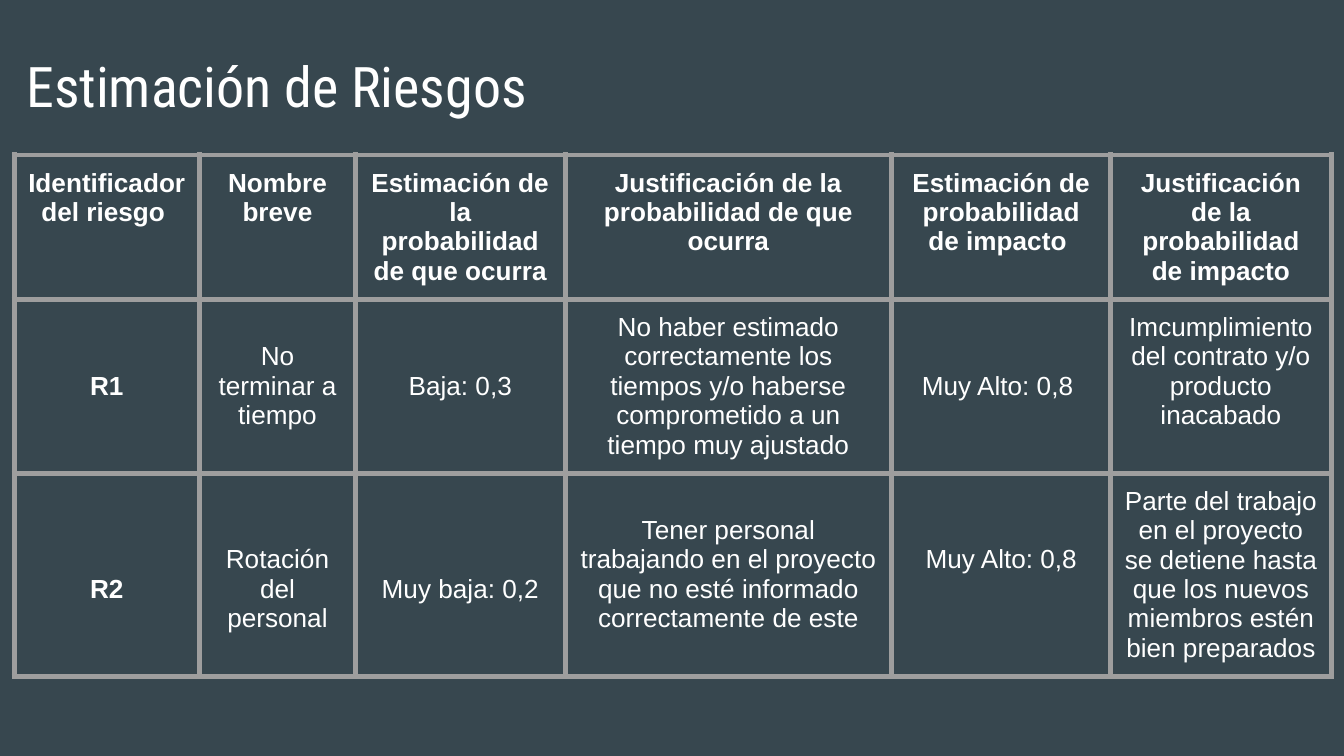
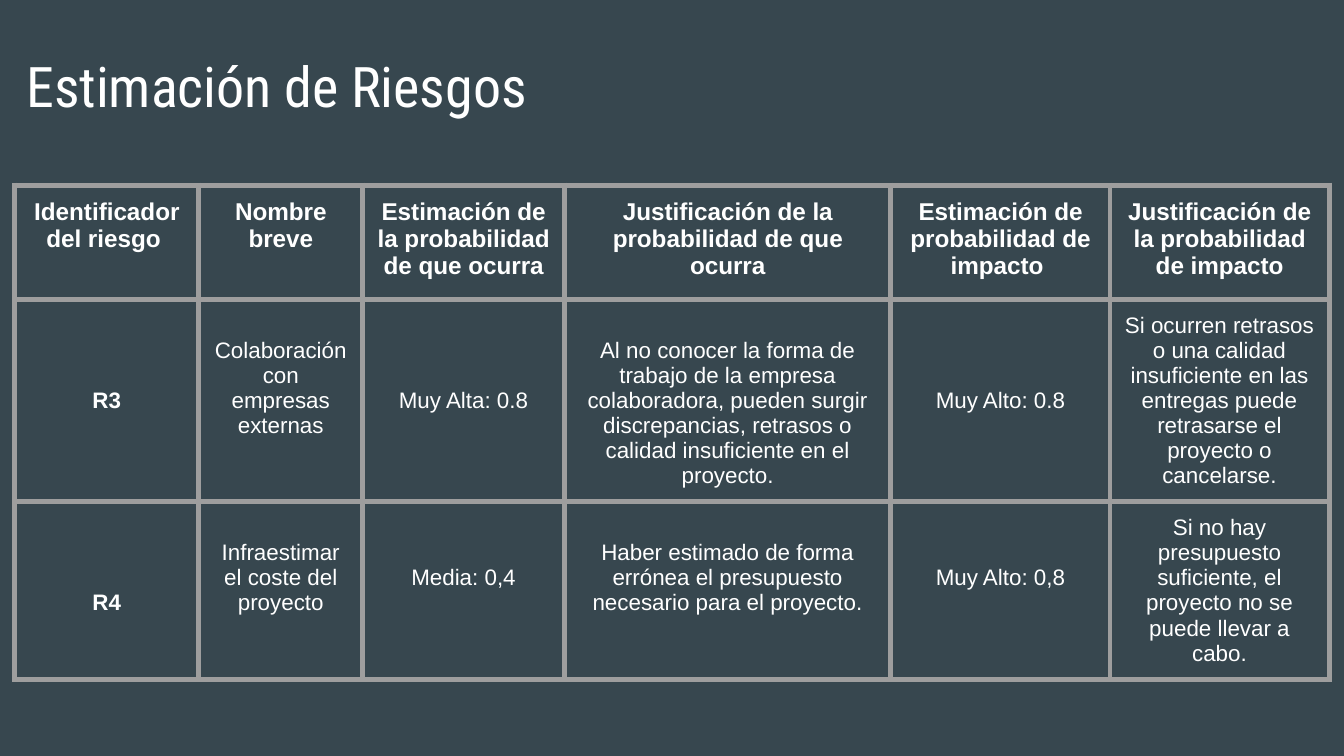
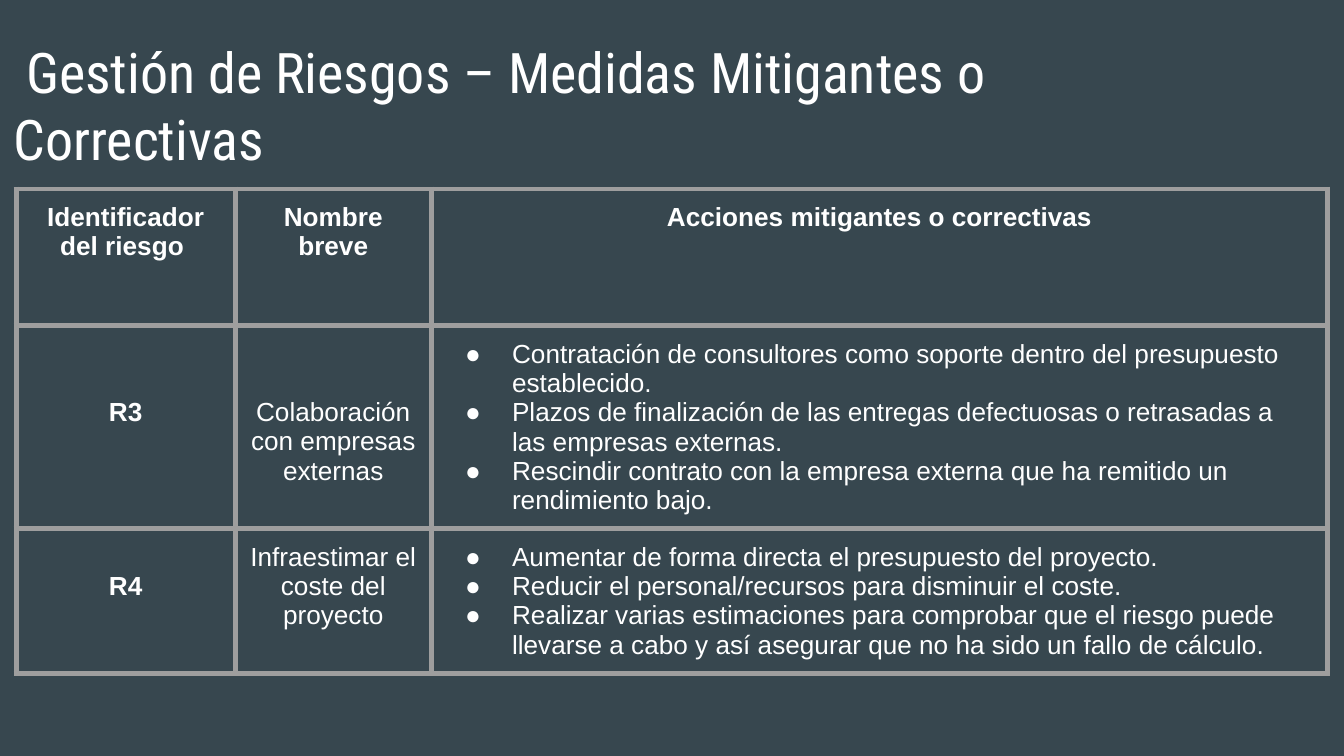
from dataclasses import dataclass

from lxml.etree import SubElement
from pptx import Presentation
from pptx.dml.color import RGBColor
from pptx.enum.text import MSO_ANCHOR, MSO_AUTO_SIZE, PP_ALIGN
from pptx.oxml import parse_xml
from pptx.oxml.ns import nsdecls, qn
from pptx.util import Inches, Pt

SLIDE_WIDTH = Inches(10)
SLIDE_HEIGHT = Inches(5.625)
BACKGROUND = "37474F"
BORDER = "9E9E9E"
TEXT = "FFFFFF"
TITLE_FONT = "Roboto Condensed"
BODY_FONT = "Arial"
TITLE_SIZE = 30
BORDER_POINTS = 3
INSET = Inches(0.1)
LINE_HEIGHT = 1.12
BULLET_MARGIN = Inches(0.5)
BULLET_HANG = Inches(0.35)


@dataclass(frozen=True)
class Entry:
    """Cell text lowered by a number of lines, as bullets if asked."""

    lines: tuple[str, ...]
    lowered: int = 0
    bulleted: bool = False


@dataclass(frozen=True)
class RiskSlide:
    """A titled risk table, with lengths in percent of the slide."""

    title: str
    title_top: float
    left: float
    top: float
    columns: tuple[float, ...]
    rows: tuple[float, ...]
    header: tuple[str, ...]
    header_size: int
    body_size: int
    body: tuple[tuple[Entry, ...], ...]


def entry(text: str, lowered: int = 0) -> Entry:
    """Describe a centred cell."""
    return Entry((text,), lowered)


def bullets(*lines: str) -> Entry:
    """Describe a bulleted cell."""
    return Entry(lines, bulleted=True)


ESTIMATE_TITLE = " Estimación de Riesgos"
IDENTITY_HEADER = ("Identificador del riesgo ", "Nombre breve")
ESTIMATE_HEADER = IDENTITY_HEADER + (
    "Estimación de la probabilidad de que ocurra",
    "Justificación de la probabilidad de que ocurra",
    "Estimación de probabilidad de impacto ",
    "Justificación de la probabilidad de impacto",
)
COLLABORATION = "Colaboración con empresas externas"
UNDERESTIMATE = "Infraestimar el coste del proyecto"

RISK_SLIDES = (
    RiskSlide(
        ESTIMATE_TITLE, 5.1, 1.05, 20.5,
        (13.8, 11.6, 15.6, 24.3, 16.3, 16.4), (19.1, 22.9, 26.8),
        ESTIMATE_HEADER, 14, 14,
        (
            (
                entry("R1", 2),
                entry("No terminar a tiempo", 1),
                entry("Baja: 0,3", 2),
                entry("No haber estimado correctamente los tiempos y/o haberse "
                      "comprometido a un tiempo muy ajustado"),
                entry("Muy Alto: 0,8 ", 2),
                entry("Imcumplimiento del contrato y/o producto inacabado"),
            ),
            (
                entry("R2", 3),
                entry("Rotación del personal", 2),
                entry("Muy baja: 0,2", 3),
                entry("Tener personal trabajando en el proyecto que no esté "
                      "informado correctamente de este", 1),
                entry("Muy Alto: 0,8", 2),
                entry("Parte del trabajo en el proyecto se detiene hasta que los "
                      "nuevos miembros estén bien preparados"),
            ),
        ),
    ),
    RiskSlide(
        ESTIMATE_TITLE, 5.1, 1.1, 24.5,
        (13.7, 12.2, 15, 24.3, 16.3, 16.3), (15.1, 26.8, 23.5),
        ESTIMATE_HEADER, 13, 12,
        (
            (
                entry("R3", 3),
                entry(COLLABORATION, 1),
                entry("Muy Alta: 0.8", 3),
                entry("Al no conocer la forma de trabajo de la empresa "
                      "colaboradora, pueden surgir discrepancias, retrasos o "
                      "calidad insuficiente en el proyecto.", 1),
                entry("Muy Alto: 0.8", 3),
                entry("Si ocurren retrasos o una calidad insuficiente en las "
                      "entregas puede retrasarse el proyecto o cancelarse."),
            ),
            (
                entry("R4", 3),
                entry(UNDERESTIMATE, 1),
                entry("Media: 0,4", 2),
                entry("Haber estimado de forma errónea el presupuesto necesario "
                      "para el proyecto.", 1),
                entry("Muy Alto: 0,8", 2),
                entry("Si no hay presupuesto suficiente, el proyecto no se puede "
                      "llevar a cabo."),
            ),
        ),
    ),
    RiskSlide(
        " Gestión de Riesgos – Medidas Mitigantes o Correctivas", 3.2, 1.2, 25,
        (16.3, 14.6, 66.7), (18.1, 26.8, 19.1),
        IDENTITY_HEADER + ("Acciones mitigantes o correctivas",), 14, 14,
        (
            (
                entry("R3", 2),
                entry(COLLABORATION, 2),
                bullets(
                    "Contratación de consultores como soporte dentro del "
                    "presupuesto establecido.",
                    "Plazos de finalización de las entregas defectuosas o "
                    "retrasadas a las empresas externas.",
                    "Rescindir contrato con la empresa externa que ha remitido un "
                    "rendimiento bajo.",
                ),
            ),
            (
                entry("R4", 1),
                entry(UNDERESTIMATE),
                bullets(
                    "Aumentar de forma directa el presupuesto del proyecto.",
                    "Reducir el personal/recursos para disminuir el coste.",
                    "Realizar varias estimaciones para comprobar que el riesgo "
                    "puede llevarse a cabo y así asegurar que no ha sido un fallo "
                    "de cálculo.",
                ),
            ),
        ),
    ),
)


def across(percent: float) -> int:
    """Convert a percentage of the slide's width to a length."""
    return round(SLIDE_WIDTH * percent / 100)


def down(percent: float) -> int:
    """Convert a percentage of the slide's height to a length."""
    return round(SLIDE_HEIGHT * percent / 100)


def set_color(color_format, color: str) -> None:
    """Apply a hex colour to a fill or a font."""
    color_format.rgb = RGBColor.from_string(color)


def set_font(paragraph, name: str, size: int, bold: bool = False) -> None:
    """Format the text of a whole paragraph."""
    font = paragraph.font
    font.name, font.size, font.bold = name, Pt(size), bold
    set_color(font.color, TEXT)


def add_bullet(paragraph) -> None:
    """Give a paragraph a hanging round bullet."""
    properties = paragraph._p.get_or_add_pPr()
    properties.set("marL", str(BULLET_MARGIN))
    properties.set("indent", str(-BULLET_HANG))
    bullet_color = SubElement(properties, qn("a:buClr"))
    SubElement(bullet_color, qn("a:srgbClr"), val=TEXT)
    SubElement(properties, qn("a:buFont"), typeface=BODY_FONT)
    SubElement(properties, qn("a:buChar"), char="●")


def add_borders(cell) -> None:
    """Draw the four borders of a cell."""
    properties = cell._tc.get_or_add_tcPr()
    for position, side in enumerate(("lnL", "lnR", "lnT", "lnB")):
        border = parse_xml(
            f'<a:{side} {nsdecls("a")} w="{Pt(BORDER_POINTS)}">'
            f'<a:solidFill><a:srgbClr val="{BORDER}"/></a:solidFill></a:{side}>'
        )
        properties.insert(position, border)


def fill_cell(cell, content: Entry, size: int, bold: bool) -> None:
    """Write and format one table cell."""
    cell.fill.solid()
    set_color(cell.fill.fore_color, BACKGROUND)
    add_borders(cell)
    cell.margin_left = cell.margin_right = cell.margin_bottom = INSET
    cell.margin_top = INSET + Pt(content.lowered * size * LINE_HEIGHT)
    cell.vertical_anchor = MSO_ANCHOR.TOP
    cell.text = "\n".join(content.lines)
    for paragraph in cell.text_frame.paragraphs:
        if content.bulleted:
            add_bullet(paragraph)
        else:
            paragraph.alignment = PP_ALIGN.CENTER
        set_font(paragraph, BODY_FONT, size, bold)


def place_title(slide, text: str, top: float) -> None:
    """Move and format the title placeholder."""
    title = slide.shapes.title
    title.left, title.top = 0, down(top)
    title.width, title.height = across(93.2), down(11.2)
    frame = title.text_frame
    frame.text = text
    frame.word_wrap = True
    frame.auto_size = MSO_AUTO_SIZE.NONE
    frame.vertical_anchor = MSO_ANCHOR.TOP
    frame.margin_left = frame.margin_right = INSET
    frame.margin_top = frame.margin_bottom = INSET
    paragraph = frame.paragraphs[0]
    paragraph.alignment = PP_ALIGN.LEFT
    set_font(paragraph, TITLE_FONT, TITLE_SIZE)


def draw_table(slide, risk_slide: RiskSlide) -> None:
    """Draw the risk table with its header row."""
    table = slide.shapes.add_table(
        len(risk_slide.rows), len(risk_slide.columns),
        across(risk_slide.left), down(risk_slide.top),
        across(sum(risk_slide.columns)), down(sum(risk_slide.rows)),
    ).table
    table.first_row = table.horz_banding = False
    for column, width in zip(table.columns, risk_slide.columns):
        column.width = across(width)
    for row, height in zip(table.rows, risk_slide.rows):
        row.height = down(height)
    header = tuple(entry(text) for text in risk_slide.header)
    for row_index, contents in enumerate((header, *risk_slide.body)):
        is_header = row_index == 0
        size = risk_slide.header_size if is_header else risk_slide.body_size
        for column_index, content in enumerate(contents):
            bold = is_header or column_index == 0
            fill_cell(table.cell(row_index, column_index), content, size, bold)


def main() -> None:
    """Build and save the presentation."""
    presentation = Presentation()
    presentation.slide_width, presentation.slide_height = SLIDE_WIDTH, SLIDE_HEIGHT
    background = presentation.slide_master.background.fill
    background.solid()
    set_color(background.fore_color, BACKGROUND)
    title_only = presentation.slide_layouts.get_by_name("Title Only")
    for risk_slide in RISK_SLIDES:
        slide = presentation.slides.add_slide(title_only)
        place_title(slide, risk_slide.title, risk_slide.title_top)
        draw_table(slide, risk_slide)
    presentation.save("out.pptx")


if __name__ == "__main__":
    main()
